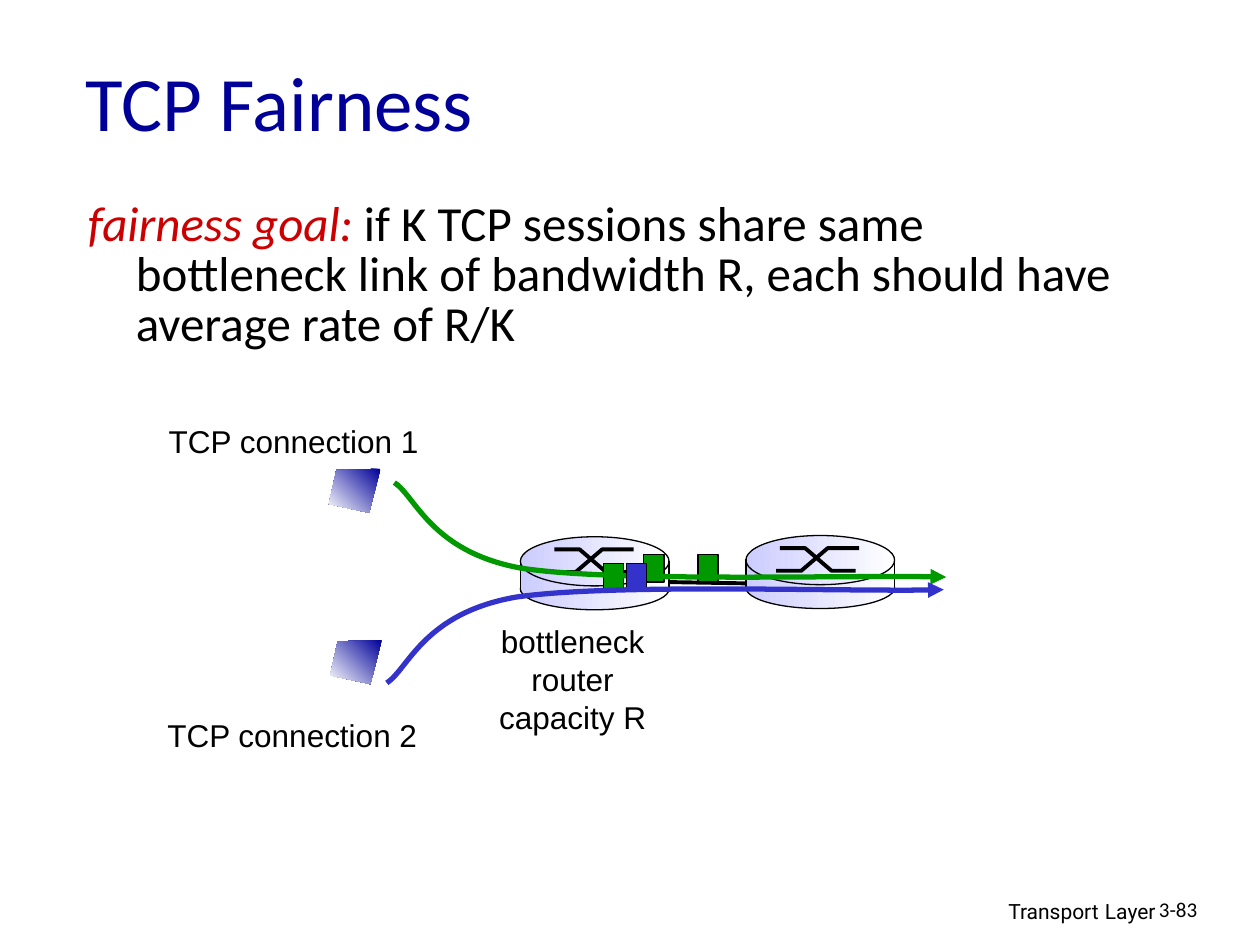
from lxml import etree
from pptx import Presentation
from pptx.dml.color import RGBColor
from pptx.enum.shapes import MSO_CONNECTOR, MSO_SHAPE
from pptx.enum.text import MSO_ANCHOR, MSO_AUTO_SIZE, PP_ALIGN
from pptx.oxml.ns import qn
from pptx.util import Inches, Pt

LINE = MSO_CONNECTOR.STRAIGHT
RECT, OVAL = MSO_SHAPE.RECTANGLE, MSO_SHAPE.OVAL
MIDDLE, TOP = MSO_ANCHOR.MIDDLE, MSO_ANCHOR.TOP
LEFT, CENTER, RIGHT = PP_ALIGN.LEFT, PP_ALIGN.CENTER, PP_ALIGN.RIGHT
GROW = MSO_AUTO_SIZE.SHAPE_TO_FIT_TEXT

COLORS = {
    "black": "000000",
    "white": "FFFFFF",
    "navy": "000099",
    "red": "CC0000",
    "green": "009900",
    "blue": "3333CC",
    "pale": "CCCCFF",
}


def color(name):
    return RGBColor.from_string(COLORS[name])


class Deck:
    def __init__(self, slide):
        self.slide = slide
        self.shapes = slide.shapes

    def group(self):
        self.shapes = self.slide.shapes.add_group_shape().shapes

    def leave(self):
        self.shapes = self.slide.shapes

    def text(self, box, lines, size=18, font="Arial", ink="black",
             align=LEFT, wrap=False, anchor=TOP):
        frame = self.shapes.add_textbox(*map(Inches, box)).text_frame
        frame.word_wrap = wrap
        frame.vertical_anchor = anchor
        if not wrap:
            frame.auto_size = GROW
        for i, line in enumerate(lines):
            para = frame.add_paragraph() if i else frame.paragraphs[0]
            para.alignment = align
            para.font.name = font
            para.font.size = Pt(size)
            para.font.color.rgb = color(ink)
            para.add_run().text = line
        return frame.paragraphs[0]

    def fade(self, fill, start, angle):
        fill.gradient()
        fill.gradient_angle = angle
        for stop, name, place in zip(fill.gradient_stops, (start, "white"), (0, 1)):
            stop.color.rgb = color(name)
            stop.position = place

    def edge(self, line, ink, width):
        line.color.rgb = color(ink)
        line.width = Pt(width)

    def shape(self, kind, box, fill=None, edge=True):
        item = self.shapes.add_shape(kind, *map(Inches, box))
        item.shadow.inherit = False
        if fill:
            item.fill.solid()
            item.fill.fore_color.rgb = color(fill)
        else:
            self.fade(item.fill, "pale", 0)
        if edge:
            self.edge(item.line, "black", 0.75)
        else:
            item.line.fill.background()

    def line(self, start, end, width=0.75):
        item = self.shapes.add_connector(LINE, *map(Inches, start + end))
        self.edge(item.line, "black", width)
        etree.SubElement(item.line._get_or_add_ln().getparent(), qn("a:effectLst"))

    def outline(self, points, close=False):
        dots = [(Inches(x), Inches(y)) for x, y in points]
        pen = self.shapes.build_freeform(*dots[0])
        pen.add_line_segments(dots[1:], close=close)
        item = pen.convert_to_shape()
        item.shadow.inherit = False
        return item

    def stroke(self, points, ink="black", width=2.25):
        item = self.outline(points)
        item.fill.background()
        self.edge(item.line, ink, width)
        return item

    def flow(self, points, ink):
        item = self.stroke(points, ink, 3)
        route = item._element.find(".//" + qn("a:path"))
        steps = route.findall(qn("a:lnTo"))
        for i in range(0, len(steps), 3):
            bend = etree.SubElement(route, qn("a:cubicBezTo"))
            for step in steps[i:i + 3]:
                bend.append(step[0])
                route.remove(step)
        etree.SubElement(item.line._get_or_add_ln(), qn("a:tailEnd"), type="triangle")

    def router(self, x, y):
        self.group()
        self.shape(OVAL, (x, y + 0.25, 1.18, 0.33))
        self.shape(RECT, (x, y + 0.22, 1.18, 0.2), edge=False)
        self.shape(OVAL, (x, y, 1.18, 0.39))
        high, low = y + 0.1, y + 0.28
        rise = zip((0.24, 0.44, 0.65, 0.9), (low, low, high, high))
        drop = zip((0.27, 0.47, 0.68, 0.87), (high, high, low, low))
        for wire in (rise, drop):
            self.stroke([(x + dx, dy) for dx, dy in wire])
        for side in (x, x + 1.18):
            self.line((side, y + 0.19), (side, y + 0.44))
        self.leave()

    def host(self, x, y):
        corners = [(0.41, 0), (0.06, 0.01), (0, 0.28), (0.32, 0.35)]
        item = self.outline([(x + dx, y + dy) for dx, dy in corners], close=True)
        self.fade(item.fill, "navy", 225)
        item.line.fill.background()

    def packet(self, x, y, fill):
        self.shape(RECT, (x, y, 0.16, 0.22), fill)


def main():
    prs = Presentation()
    prs.slide_width, prs.slide_height = Inches(10), Inches(7.5)
    deck = Deck(prs.slides.add_slide(prs.slide_layouts[6]))

    foot = deck.text((6.1, 7.05, 3.17, 0.31), ["Transport"], 12, "Roboto",
                     align=RIGHT, wrap=True)
    gap = foot.add_run()
    gap.text = " "
    gap.font.size = Pt(14)
    foot.add_run().text = "Layer"
    deck.text((9.1, 7.07, 0.74, 0.3), ["3-83"], 12, "Calibri", wrap=True)

    deck.line((5.31, 4.62), (5.92, 4.63), 2.25)
    deck.router(4.13, 4.26)
    deck.router(5.92, 4.25)

    goal = deck.text((0.6, 1.55, 8.33, 2.4), ["fairness goal:"], 28, "Calibri", wrap=True)
    goal.line_spacing = 0.85
    props = goal._p.get_or_add_pPr()
    props.set("marL", str(Inches(0.38)))
    props.set("indent", str(Inches(-0.38)))
    lead = goal.runs[0].font
    lead.italic = True
    lead.color.rgb = color("red")
    goal.add_run().text = (" if K TCP sessions share same bottleneck link of "
                           "bandwidth R, each should have average rate of R/K")

    for x, y in ((5.54, 4.4), (4.79, 4.47), (5.11, 4.4)):
        deck.packet(x, y, "green")
    deck.text((1.24, 3.3, 2.19, 0.4), ["TCP connection 1"])
    deck.text((3.86, 4.89, 1.37, 1), ["bottleneck", "router", "capacity R"], align=CENTER)
    deck.flow([(3.13, 3.83), (3.3, 3.94), (3.42, 4.38), (4.14, 4.51),
               (4.87, 4.62), (6.81, 4.56), (7.51, 4.58)], "green")
    deck.packet(4.97, 4.47, "blue")
    deck.flow([(3.07, 5.42), (3.24, 5.31), (3.36, 4.87), (4.09, 4.74),
               (4.83, 4.63), (6.79, 4.7), (7.49, 4.68)], "blue")

    deck.text((0.58, 0.17, 8.5, 1.25), ["TCP Fairness"], 44, "Calibri", "navy",
              wrap=True, anchor=MIDDLE)
    deck.text((1.23, 5.63, 2.19, 0.4), ["TCP connection 2"])
    deck.host(2.61, 3.72)
    deck.host(2.62, 5.08)
    prs.save("out.pptx")


if __name__ == "__main__":
    main()
